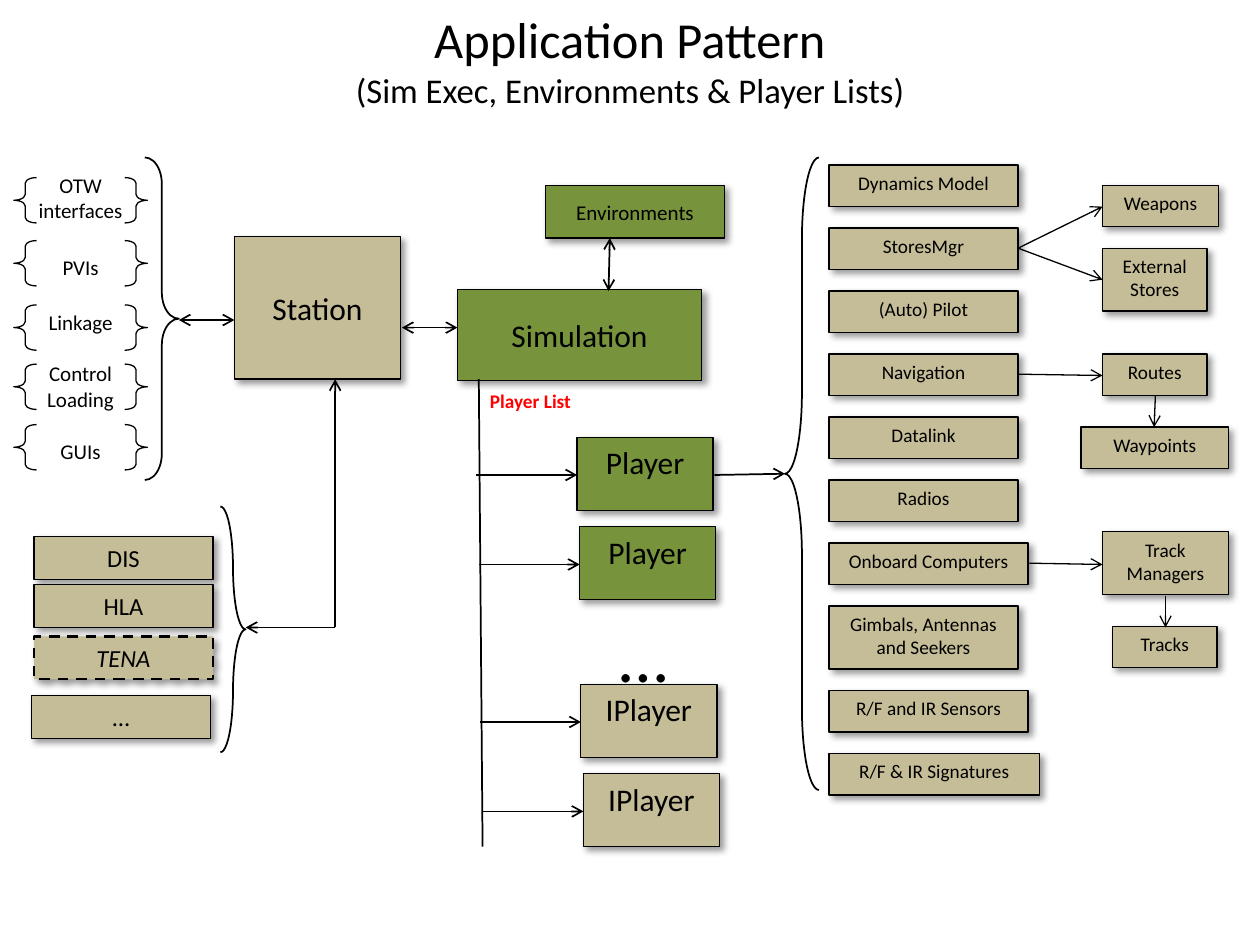
import lxml.etree
import pptx
import pptx.dml.color
import pptx.enum.dml
import pptx.enum.shapes
import pptx.enum.text
import pptx.oxml.ns
import pptx.util

PX = 9144  # 100 px to the inch
BLACK = pptx.dml.color.RGBColor(0x00, 0x00, 0x00)
RED = pptx.dml.color.RGBColor(0xFF, 0x00, 0x00)
TAN = pptx.dml.color.RGBColor(0xC4, 0xBD, 0x97)
GREEN = pptx.dml.color.RGBColor(0x77, 0x93, 0x3C)
SHAPE = pptx.enum.shapes.MSO_SHAPE
ANCHOR = pptx.enum.text.MSO_ANCHOR
CENTER = pptx.enum.text.PP_ALIGN.CENTER
LEFT = pptx.enum.text.PP_ALIGN.LEFT


def px(*lengths):
    return [pptx.util.Emu(n * PX) for n in lengths]


def add_xml(parent, tag, **attributes):
    return lxml.etree.SubElement(parent, pptx.oxml.ns.qn(tag), attributes)


def write(p, text, size=11, color=BLACK, bold=None, italic=None, align=CENTER):
    p.alignment = align
    r = p.add_run()
    r.text = text
    r.font.name = "Calibri"
    r.font.size = pptx.util.Pt(size)
    r.font.color.rgb = color
    r.font.bold = bold
    r.font.italic = italic


class Diagram:
    """Holds the style and the slide; lengths are in px."""

    def __init__(self, slide):
        self.slide = slide
        self.shapes = slide.shapes

    def title(self, x, y, w, h, heading, subheading):
        sp = self.shapes.title
        sp.left, sp.top, sp.width, sp.height = px(x, y, w, h)
        sp.text_frame.vertical_anchor = ANCHOR.MIDDLE
        p = sp.text_frame.paragraphs[0]
        write(p, heading, size=28.8)
        p.add_line_break()
        write(p, subheading, size=19.8)

    def fill_text(self, sp, text, anchor, **fmt):
        """Each line of text becomes a paragraph."""
        tf = sp.text_frame
        tf.word_wrap = True
        tf.vertical_anchor = anchor
        for i, line in enumerate(text.split("\n")):
            write(tf.add_paragraph() if i else tf.paragraphs[0], line, **fmt)

    def label(self, x, y, w, h, text, anchor=ANCHOR.MIDDLE, **fmt):
        sp = self.shapes.add_textbox(*px(x, y, w, h))
        self.fill_text(sp, text, anchor, **fmt)
        return sp

    def stacked_label(self, x, y, w, h, text, **fmt):
        sp = self.label(x, y, w, h, text, ANCHOR.TOP, **fmt)
        sp.text_frame.word_wrap = False
        sp.text_frame._txBody.bodyPr.set("vert", "wordArtVert")

    def box(self, x, y, w, h, text, fill=TAN, anchor=ANCHOR.TOP, dashed=False, **fmt):
        sp = self.shapes.add_shape(SHAPE.RECTANGLE, *px(x, y, w, h))
        sp.fill.solid()
        sp.fill.fore_color.rgb = fill
        self.outline(sp, 1.5 if dashed else 0.75)
        if dashed:
            sp.line.dash_style = pptx.enum.dml.MSO_LINE.DASH
        self.drop_shadow(sp)
        self.fill_text(sp, text, anchor, **fmt)

    def outline(self, sp, width):
        sp.line.color.rgb = BLACK
        sp.line.width = pptx.util.Pt(width)

    def drop_shadow(self, sp):
        sp.shadow.inherit = False
        effects = sp._element.spPr.find(pptx.oxml.ns.qn("a:effectLst"))
        shadow = add_xml(effects, "a:outerShdw", blurRad="50800", dist="38100",
                         dir="2700000", algn="tl", rotWithShape="0")
        color = add_xml(shadow, "a:srgbClr", val="000000")
        add_xml(color, "a:alpha", val="40000")

    def brace(self, x, y, w, h, curl, flip=False, width=1):
        sp = self.shapes.add_shape(SHAPE.LEFT_BRACE, *px(x, y, w, h))
        sp.adjustments[0] = curl
        sp.fill.background()
        sp.shadow.inherit = False
        self.outline(sp, width)
        if flip:
            sp._element.spPr.xfrm.set("flipH", "1")

    def line(self, x1, y1, x2, y2, width=1, start=False, end=True):
        """start and end put an arrowhead on that end."""
        c = self.shapes.add_connector(
            pptx.enum.shapes.MSO_CONNECTOR.STRAIGHT, *px(x1, y1, x2, y2))
        self.outline(c, width)
        ln = c.line._get_or_add_ln()
        for wanted, tag in ((start, "a:headEnd"), (end, "a:tailEnd")):
            if wanted:
                add_xml(ln, tag, type="arrow")
        add_xml(c._element.spPr, "a:effectLst")


def draw_station_side(d):
    interfaces = [
        ("OTW interfaces", 132, 50, 141),
        ("PVIs", 197, 30, 191),
        ("Linkage", 241, 30, 242),
        ("Control\nLoading", 281, 51, 289),
        ("GUIs", 343, 30, 337),
    ]
    for text, y, h, brace_y in interfaces:
        d.label(11, y, 106, h, text, size=12)
        d.brace(11, brace_y, 18, 36, 0.25, width=0.75)
        d.brace(99, brace_y, 18, 36, 0.25, flip=True, width=0.75)
    d.brace(115, 125, 27, 256, 0.775, flip=True)
    d.line(142, 254, 186, 254, start=True)

    protocols = [("DIS", 27, 426), ("HLA", 27, 464), ("TENA", 27, 505), ("…", 25, 552)]
    for text, x, y in protocols:
        special = text == "TENA"
        d.box(x, y, 142, 34, text, anchor=ANCHOR.MIDDLE, size=14,
              dashed=special, italic=special)
    d.brace(175, 402, 20, 195, 3.324, flip=True)
    d.line(266, 498, 266, 301)
    d.line(266, 498, 195, 498)


def draw_simulation(d):
    d.box(186, 188, 132, 113, "Station", anchor=ANCHOR.MIDDLE, size=18)
    d.box(363, 230, 194, 72, "Simulation", GREEN, ANCHOR.MIDDLE, size=18)
    d.box(433, 147, 142, 42, "Environments", GREEN, ANCHOR.MIDDLE, size=12)
    d.line(319, 260, 363, 260, start=True)
    d.line(484, 189, 483, 231, start=True)

    d.line(380, 301, 383, 672, end=False)
    d.label(367, 304, 108, 29, "Player List", ANCHOR.TOP, color=RED, bold=True)
    players = [
        ("Player", GREEN, 458, 347),
        ("Player", GREEN, 460, 418),
        ("IPlayer", TAN, 461, 543),
        ("IPlayer", TAN, 463, 614),
    ]
    for text, fill, x, y in players:
        d.box(x, y, 108, 58, text, fill, size=18)
        d.line(x - 80, y + 30, x, y + 30)
    d.stacked_label(482, 481, 100, 49, "…", size=40, align=LEFT)
    d.line(567, 377, 623, 376)


def draw_components(d):
    d.brace(623, 125, 27, 502, 2.382)
    components = [
        ("Dynamics Model", 150, 33),
        ("StoresMgr", 150, 33),
        ("(Auto) Pilot", 150, 33),
        ("Navigation", 150, 33),
        ("Datalink", 150, 33),
        ("Radios", 150, 33),
        ("Onboard Computers", 158, 33),
        ("Gimbals, Antennas and Seekers", 150, 50),
        ("R/F and IR Sensors", 158, 33),
        ("R/F & IR Signatures", 167, 33),
    ]
    y = 131
    for text, w, h in components:
        d.box(658, y, w, h, text)
        y += h + 17

    parts = [
        ("Weapons", 875, 147, 92, 33),
        ("External\nStores", 875, 197, 83, 50),
        ("Routes", 875, 281, 83, 33),
        ("Waypoints", 858, 339, 117, 33),
        ("Track\nManagers", 875, 422, 100, 50),
        ("Tracks", 883, 497, 83, 33),
    ]
    for text, *place in parts:
        d.box(*place, text)
    links = [
        (808, 197, 875, 164),
        (808, 197, 875, 222),
        (808, 297, 875, 298),
        (817, 447, 875, 448),
        (917, 314, 916, 339),
        (925, 473, 925, 498),
    ]
    for ends in links:
        d.line(*ends, width=0.75)


def main():
    prs = pptx.Presentation()
    prs.slide_width, prs.slide_height = px(1000, 750)
    d = Diagram(prs.slides.add_slide(prs.slide_layouts[5]))
    d.title(50, 8, 900, 78, "Application Pattern",
            "(Sim Exec, Environments & Player Lists)")
    draw_station_side(d)
    draw_simulation(d)
    draw_components(d)
    prs.save("out.pptx")


if __name__ == "__main__":
    main()
